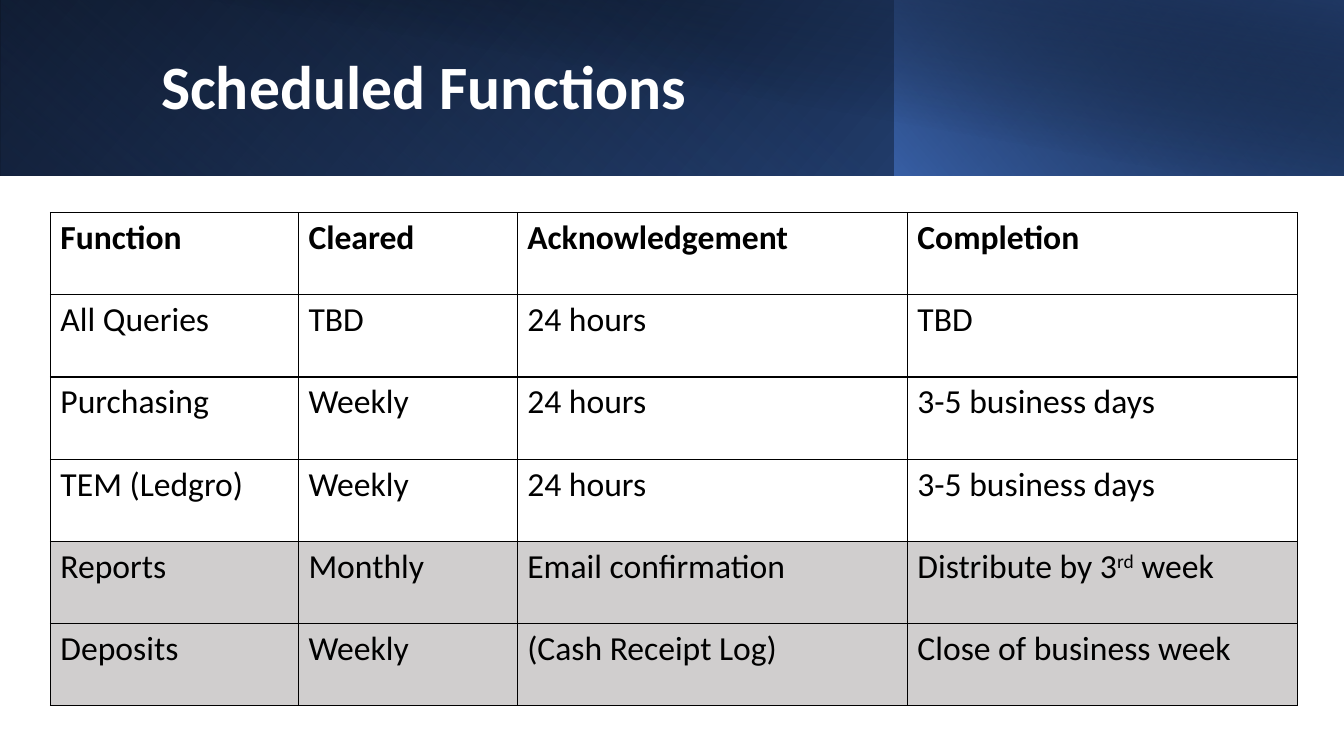
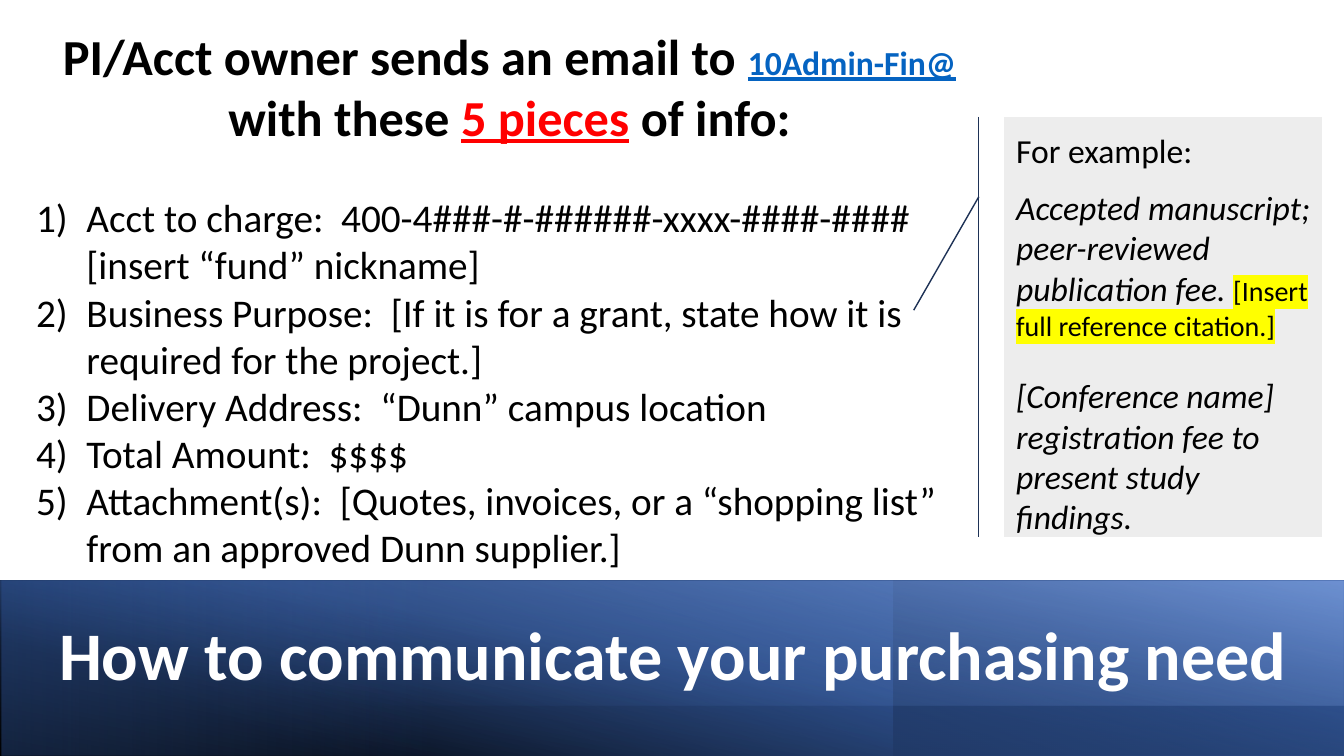
from lxml import etree
from pptx import Presentation
from pptx.dml.color import RGBColor
from pptx.enum.shapes import MSO_SHAPE
from pptx.enum.text import MSO_ANCHOR, PP_ALIGN
from pptx.oxml.ns import qn
from pptx.util import Inches, Pt

RECTANGLE, CALLOUT = MSO_SHAPE.RECTANGLE, MSO_SHAPE.LINE_CALLOUT_1_ACCENT_BAR
TOP, MIDDLE = MSO_ANCHOR.TOP, MSO_ANCHOR.MIDDLE
LEFT, CENTER = PP_ALIGN.LEFT, PP_ALIGN.CENTER
FONT = "Calibri"
WIDTH, HEIGHT = 13.33, 7.5
BAND = 1.74
FOOT = HEIGHT - BAND
COLORS = {
    "black": "000000", "white": "FFFFFF", "navy": "203864", "deep": "2F5597",
    "blue": "4472C4", "sky": "8FAADC", "shade": "D0CECE", "panel": "EDEDED",
    "accent": "1E3256", "link": "0563C1", "red": "FF0000", "yellow": "FFFF00",
}

# Bands: box, gradient stops (position, colour, opacity), angle, flipped, rotation
HEADER_BANDS = [
    ((0, 0, WIDTH, BAND), [(0, "black", 100), (100, "deep", 100)], 140, True, 0),
    ((0, 0, 8.88, BAND), [(20, "blue", 0), (100, "navy", 55)], 230, True, 180),
    ((8.87, 0, 4.46, BAND), [(0, "blue", 66), (100, "black", 30)], 220, True, 0),
    ((0.5, 0, 12.83, BAND), [(50, "black", 0), (99, "navy", 52)], 280, False, 0),
]
FOOTER_BANDS = [
    ((0, FOOT, WIDTH, BAND), [(0, "black", 100), (54, "navy", 100)], 260, True, 0),
    ((-0.02, FOOT, 13.35, BAND), [(18, "deep", 0), (100, "blue", 100)], 250, True, 0),
    ((8.86, FOOT, 4.48, BAND), [(23, "navy", 61), (100, "navy", 0)], 260, True, 0),
    ((0, FOOT, WIDTH, 1.24), [(18, "blue", 0), (100, "sky", 56)], 280, False, 0),
    ((0.02, FOOT, 8.46, BAND), [(50, "blue", 0), (100, "deep", 41)], 0, False, 180),
]

SCHEDULE = [
    ["Function", "Cleared", "Acknowledgement", "Completion"],
    ["All Queries", "TBD", "24 hours", "TBD"],
    ["Purchasing", "Weekly", "24 hours", "3-5 business days"],
    ["TEM (Ledgro)", "Weekly", "24 hours", "3-5 business days"],
    ["Reports", "Monthly", "Email confirmation",
     [("Distribute by 3", {}), ("rd", {"raised": True}), (" week", {})]],
    ["Deposits", "Weekly", "(Cash Receipt Log)", "Close of business week"],
]
SCHEDULE_COLUMNS = [2.46, 2.17, 3.87, 3.87]
SCHEDULE_ROW = 0.815
SHADED_FROM = 4

REQUEST_HEADING = [
    [("PI/Acct owner sends an email to ", {}),
     ("10Admin-Fin@", {"size": 24, "color": "link", "underline": True}), (" ", {})],
    [("with these ", {}), ("5 pieces", {"color": "red", "underline": True}),
     (" of info: ", {})],
]
REQUEST_ITEMS = [
    "Acct to charge:  400-4###-#-######-xxxx-####-#### [insert “fund” nickname]",
    "Business Purpose:  [If it is for a grant, state how it is required for the project.]",
    "Delivery Address:  “Dunn” campus location",
    "Total Amount:  $$$$",
    "Attachment(s):  [Quotes, invoices, or a “shopping list” from an approved Dunn supplier.]",
]
EXAMPLES = [
    [("Accepted manuscript; peer-reviewed publication fee. ", {"italic": True}),
     ("[Insert full reference citation.]", {"size": 20, "highlight": "yellow"})],
    [("[Conference name] registration fee to present study findings.", {"italic": True})],
]


def rgb(name):
    return RGBColor.from_string(COLORS[name])


def inches(lengths):
    return [Inches(length) for length in lengths]


def add_run(paragraph, text, size, color="black", bold=False, italic=False,
            underline=False, raised=False, highlight=None):
    run = paragraph.add_run()
    run.text = text
    font = run.font
    font.name, font.size, font.bold, font.italic = FONT, Pt(size), bold, italic
    font.underline = underline
    font.color.rgb = rgb(color)
    properties = font._element
    if raised:
        properties.set("baseline", "30000")
    if highlight:
        mark = etree.Element(qn("a:highlight"))
        etree.SubElement(mark, qn("a:srgbClr"), val=COLORS[highlight])
        properties.find(qn("a:solidFill")).addnext(mark)


def write(frame, content, align=LEFT, before=0, after=0, spacing=None,
          numbered=False, **style):
    """Append one paragraph: a string, or a list of (text, style) runs."""
    paragraph = frame.paragraphs[-1]
    if paragraph.runs:
        paragraph = frame.add_paragraph()
    paragraph.alignment = align
    paragraph.space_before, paragraph.space_after = Pt(before), Pt(after)
    if spacing:
        paragraph.line_spacing = spacing
    if numbered:
        properties = paragraph._p.get_or_add_pPr()
        properties.set("marL", str(Inches(0.5)))
        properties.set("indent", str(-Inches(0.5)))
        etree.SubElement(properties, qn("a:buFont"), typeface="+mj-lt")
        etree.SubElement(properties, qn("a:buAutoNum"), type="arabicParenR")
    for text, extra in [(content, {})] if isinstance(content, str) else content:
        add_run(paragraph, text, **{**style, **extra})


def add_text(slide, box, anchor=TOP):
    frame = slide.shapes.add_textbox(*inches(box)).text_frame
    frame.word_wrap = True
    frame.vertical_anchor = anchor
    return frame


def add_title(slide, text, box, **style):
    write(add_text(slide, box, MIDDLE), text, color="white", bold=True,
          spacing=0.9, **style)


def add_band(slide, box, stops, angle, flipped, rotation):
    band = slide.shapes.add_shape(RECTANGLE, *inches(box))
    band.shadow.inherit = False
    band.line.fill.background()
    band.rotation = rotation
    band.fill.gradient()
    properties = band._element.spPr
    if flipped:
        properties.find(qn("a:xfrm")).set("flipH", "1")
    gradient = properties.find(qn("a:gradFill"))
    stop_list = gradient.find(qn("a:gsLst"))
    stop_list.clear()
    for position, color, opacity in stops:
        stop = etree.SubElement(stop_list, qn("a:gs"), pos=str(position * 1000))
        value = etree.SubElement(stop, qn("a:srgbClr"), val=COLORS[color])
        if opacity < 100:
            etree.SubElement(value, qn("a:alpha"), val=str(opacity * 1000))
    direction = gradient.find(qn("a:lin"))
    direction.set("ang", str(angle * 60000))
    direction.set("scaled", "0")


def add_slide(deck, bands):
    slide = deck.slides.add_slide(deck.slide_layouts[6])
    for band in bands:
        add_band(slide, *band)
    return slide


def format_cell(cell, fill):
    properties = cell._tc.get_or_add_tcPr()
    for side in ("lnL", "lnR", "lnT", "lnB"):
        border = etree.SubElement(properties, qn(f"a:{side}"), w=str(Pt(1)))
        solid = etree.SubElement(border, qn("a:solidFill"))
        etree.SubElement(solid, qn("a:srgbClr"), val=COLORS["black"])
    cell.fill.solid()
    cell.fill.fore_color.rgb = rgb(fill)


def add_schedule(slide, left, top):
    rows, columns = len(SCHEDULE), len(SCHEDULE_COLUMNS)
    box = left, top, sum(SCHEDULE_COLUMNS), rows * SCHEDULE_ROW
    table = slide.shapes.add_table(rows, columns, *inches(box)).table
    table.first_row = table.horz_banding = False
    for column, width in zip(table.columns, SCHEDULE_COLUMNS):
        column.width = Inches(width)
    for r, entries in enumerate(SCHEDULE):
        table.rows[r].height = Inches(SCHEDULE_ROW)
        for c, entry in enumerate(entries):
            cell = table.cell(r, c)
            format_cell(cell, "shade" if r >= SHADED_FROM else "white")
            write(cell.text_frame, entry, size=24, bold=r == 0)


def add_example_panel(slide):
    panel = slide.shapes.add_shape(CALLOUT, *inches((9.96, 1.16, 3.15, 4.17)))
    panel.shadow.inherit = False
    for index, share in enumerate((0.19, -0.08, 0.46, -0.285)):
        panel.adjustments[index] = share
    panel.fill.solid()
    panel.fill.fore_color.rgb = rgb("panel")
    panel.line.color.rgb = rgb("accent")
    panel.line.width = Pt(1)
    frame = add_text(slide, (9.98, 1.24, 3.13, 4.17))
    write(frame, "For example:", size=24)
    for example in EXAMPLES:
        write(frame, example, size=24, before=12, after=12)


def main():
    deck = Presentation()
    deck.slide_width, deck.slide_height = inches((WIDTH, HEIGHT))

    functions = add_slide(deck, HEADER_BANDS)
    add_title(functions, "Scheduled Functions", (1.5, 0.32, 10.82, 1.13), size=44)
    add_schedule(functions, 0.5, 2.11)

    purchasing = add_slide(deck, FOOTER_BANDS)
    add_title(purchasing, "How to communicate your purchasing need",
              (0.26, 6, 12.83, 1.07), size=48.6, align=CENTER)
    request = add_text(purchasing, (0.26, 0.2, 9.7, 5.55))
    for line in REQUEST_HEADING:
        write(request, line, size=36, bold=True, align=CENTER)
    for index, item in enumerate(REQUEST_ITEMS):
        write(request, item, size=28, numbered=True, before=0 if index else 34)
    add_example_panel(purchasing)

    deck.save("out.pptx")


if __name__ == "__main__":
    main()
